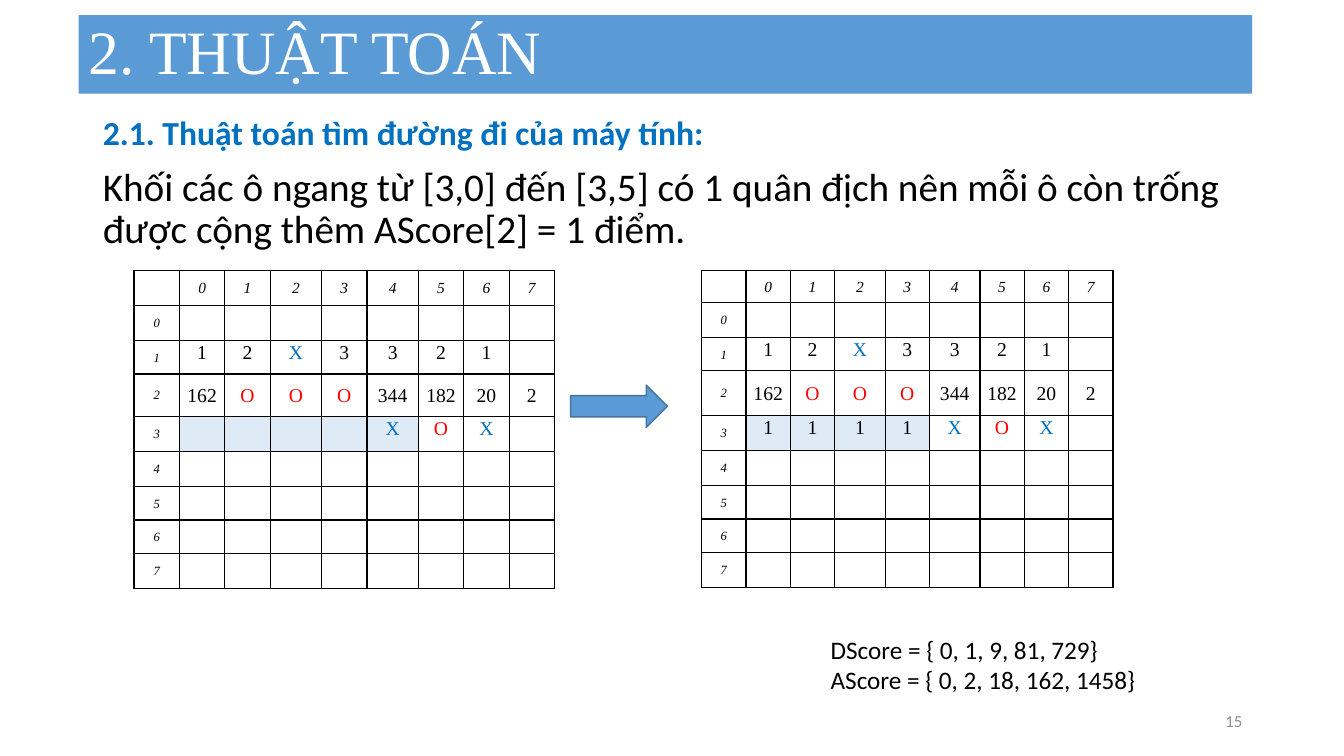
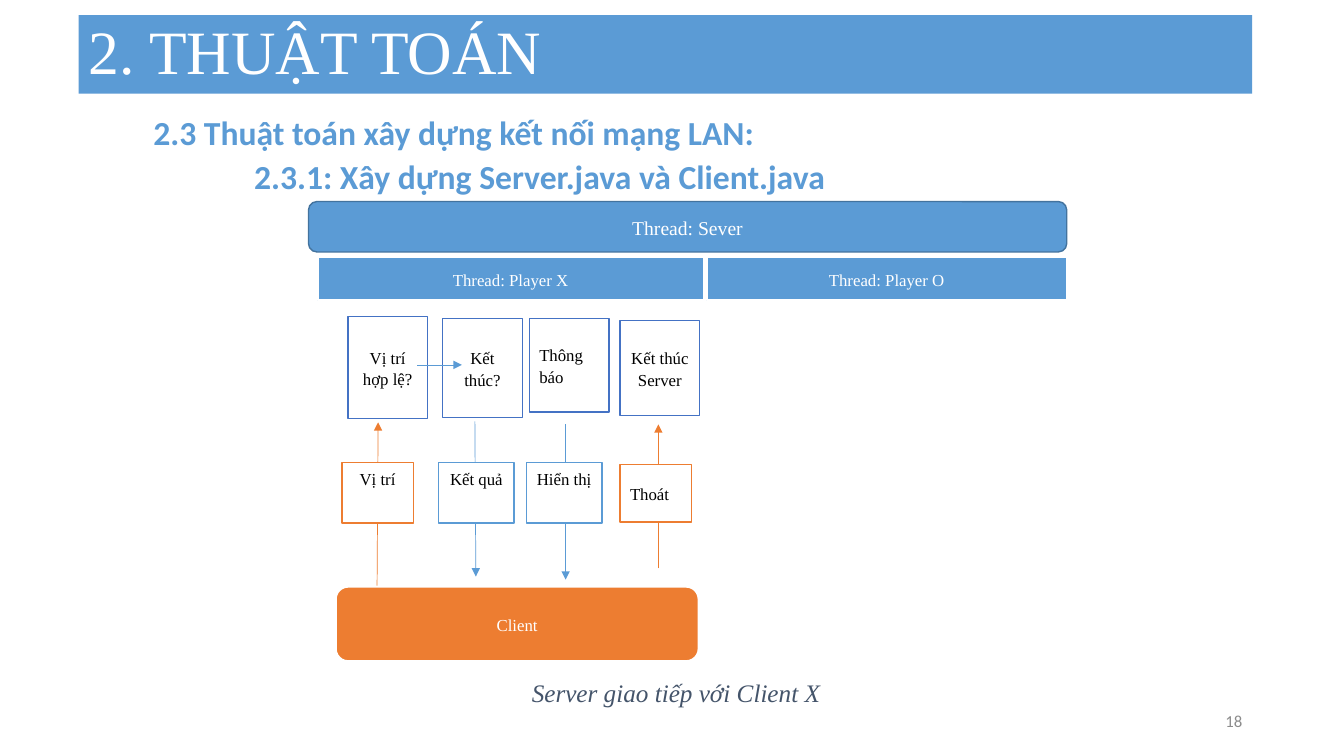
from dataclasses import dataclass, replace
from typing import Optional

from lxml.etree import SubElement
from pptx import Presentation
from pptx.dml.color import RGBColor
from pptx.enum.shapes import MSO_CONNECTOR, MSO_SHAPE
from pptx.enum.text import MSO_ANCHOR, MSO_AUTO_SIZE, PP_ALIGN
from pptx.oxml.ns import qn
from pptx.slide import Slide
from pptx.util import Emu, Pt

EMU_PER_PX = 9144


@dataclass(frozen=True)
class Theme:
    blue: str = "5B9BD5"
    blue_edge: str = "43739E"
    indigo: str = "4472C4"
    orange: str = "ED7D31"
    strong_blue: str = "0070C0"
    red: str = "FF0000"
    tint: str = "DEEBF7"
    slate: str = "44546A"
    gray: str = "8C8C8C"
    black: str = "000000"
    white: str = "FFFFFF"
    sans: str = "Calibri"
    serif: str = "Times New Roman"
    title: int = 44
    lead: int = 28
    heading: int = 24
    note: int = 18
    mark: int = 14
    label: int = 12
    column_index: int = 11
    row_index: int = 9


THEME = Theme()


@dataclass(frozen=True)
class Style:
    size: int
    color: str = THEME.black
    font: str = THEME.serif
    bold: bool = False
    italic: bool = False
    align: PP_ALIGN = PP_ALIGN.LEFT
    line_spacing: float = 1.0
    before: int = 0
    after: int = 0
    indent: int = 0


@dataclass(frozen=True)
class Area:
    left: int
    top: int
    width: int
    height: int

    def emu(self) -> tuple[Emu, Emu, Emu, Emu]:
        return px(self.left), px(self.top), px(self.width), px(self.height)


@dataclass(frozen=True)
class Node:
    text: str
    area: Area
    edge: str
    edge_width: float = 1
    fill: str = THEME.white
    color: str = THEME.black
    size: int = THEME.label
    align: PP_ALIGN = PP_ALIGN.CENTER
    anchor: MSO_ANCHOR = MSO_ANCHOR.MIDDLE
    preset: MSO_SHAPE = MSO_SHAPE.RECTANGLE


@dataclass(frozen=True)
class Arrow:
    start: tuple[int, int]
    end: tuple[int, int]
    color: str


@dataclass(frozen=True)
class Board:
    left: int
    top: int
    column: int
    wide_column: int
    rows: tuple[int, ...]
    attack_row: str
    tinted: range


TITLE = Style(THEME.title, THEME.white, line_spacing=0.9)
HEADING = Style(THEME.heading, THEME.strong_blue, THEME.sans, bold=True, line_spacing=0.9)
LEAD = Style(THEME.lead, font=THEME.sans, line_spacing=0.9, before=10)
LAN_HEADING = replace(HEADING, color=THEME.blue, indent=50)
LAN_SUBHEADING = replace(LAN_HEADING, before=5, indent=150)
SCORES = Style(THEME.note, font=THEME.sans)
PAGE = Style(THEME.label, THEME.gray, THEME.sans, align=PP_ALIGN.RIGHT)
CAPTION = Style(THEME.note, THEME.slate, italic=True, align=PP_ALIGN.CENTER)
CELL = Style(THEME.mark, align=PP_ALIGN.CENTER, line_spacing=1.07, after=8)
MARK_COLORS = {"X": THEME.strong_blue, "O": THEME.red}

BOARDS = (
    Board(133, 268, 45, 51, (35, 35, 33, 42, 35, 35, 33, 33, 35), "3,,,,,X,O,X,", range(1, 6)),
    Board(696, 268, 44, 50, (32, 35, 33, 44, 35, 35, 33, 33, 35), "3,1,1,1,1,X,O,X,", range(1, 5)),
)
WIDE_COLUMNS = (3, 5)
TOP_ANCHORED_ROWS = (2, 4)

ARROWS = (
    Arrow((374, 582), (375, 419), THEME.orange),
    Arrow((471, 418), (472, 572), THEME.blue),
    Arrow((561, 421), (561, 575), THEME.blue),
    Arrow((653, 564), (653, 421), THEME.orange),
)
CHECK_ARROW = Arrow((414, 362), (458, 362), THEME.blue)

NODES = (
    Node("Thread: Sever", Area(306, 200, 752, 50), THEME.blue_edge, fill=THEME.blue,
         color=THEME.white, size=THEME.mark, preset=MSO_SHAPE.ROUNDED_RECTANGLE),
    Node("Thread: Player X", Area(315, 255, 383, 43), THEME.white, 1.5, THEME.blue, THEME.white),
    Node("Thread: Player O", Area(701, 255, 357, 43), THEME.white, 1.5, THEME.blue, THEME.white),
    Node("Vị trí hợp lệ?", Area(345, 314, 79, 101), THEME.indigo),
    Node("Kết thúc?", Area(439, 316, 79, 98), THEME.indigo),
    Node("Thông báo", Area(525, 316, 79, 93), THEME.indigo, align=PP_ALIGN.LEFT),
    Node("Kết thúc Server", Area(615, 318, 79, 94), THEME.indigo),
    Node("Vị trí", Area(339, 459, 71, 60), THEME.orange, anchor=MSO_ANCHOR.TOP),
    Node("Kết quả", Area(435, 459, 75, 60), THEME.blue, anchor=MSO_ANCHOR.TOP),
    Node("Hiển thị", Area(522, 459, 75, 60), THEME.blue, anchor=MSO_ANCHOR.TOP),
    Node("Thoát", Area(615, 461, 71, 57), THEME.orange, align=PP_ALIGN.LEFT),
    Node("Client", Area(333, 582, 360, 74), THEME.white, 1.5, THEME.orange, THEME.white,
         preset=MSO_SHAPE.ROUNDED_RECTANGLE),
)


def px(length: int) -> Emu:
    return Emu(length * EMU_PER_PX)


def rgb(color: str) -> RGBColor:
    return RGBColor.from_string(color)


def write(frame, lines: list[tuple[str, Style]], anchor: MSO_ANCHOR = MSO_ANCHOR.TOP) -> None:
    frame.vertical_anchor = anchor
    for index, (text, style) in enumerate(lines):
        paragraph = frame.add_paragraph() if index else frame.paragraphs[0]
        paragraph.text = text
        properties = paragraph._p.get_or_add_pPr()
        properties.set("marL", str(px(style.indent)))
        properties.set("indent", "0")
        paragraph.alignment = style.align
        paragraph.line_spacing = style.line_spacing
        paragraph.space_before = Pt(style.before)
        paragraph.space_after = Pt(style.after)
        SubElement(properties, qn("a:buNone"))
        font = paragraph.font
        font.name, font.size = style.font, Pt(style.size)
        font.bold, font.italic = style.bold, style.italic
        font.color.rgb = rgb(style.color)


def place(shape, area: Area) -> None:
    shape.left, shape.top, shape.width, shape.height = area.emu()


def add_text(slide: Slide, area: Area, lines: list[tuple[str, Style]],
             anchor: MSO_ANCHOR = MSO_ANCHOR.TOP, wrap: bool = True) -> None:
    frame = slide.shapes.add_textbox(*area.emu()).text_frame
    frame.word_wrap = wrap
    write(frame, lines, anchor)


def add_slide(deck, page: str, body_height: int, lines: list[tuple[str, Style]]) -> Slide:
    slide = deck.slides.add_slide(deck.slide_layouts[1])
    title, body = slide.shapes.title, slide.placeholders[1]
    place(title, Area(78, 15, 1164, 78))
    title.fill.solid()
    title.fill.fore_color.rgb = rgb(THEME.blue)
    write(title.text_frame, [("2. THUẬT TOÁN", TITLE)], MSO_ANCHOR.MIDDLE)
    place(body, Area(92, 111, 1150, body_height))
    write(body.text_frame, lines)
    for placeholder in (title, body):
        placeholder.text_frame.auto_size = MSO_AUTO_SIZE.NONE
    add_text(slide, Area(942, 695, 300, 40), [(page, PAGE)], MSO_ANCHOR.MIDDLE)
    return slide


def add_node(slide: Slide, node: Node) -> None:
    shape = slide.shapes.add_shape(node.preset, *node.area.emu())
    shape.shadow.inherit = False
    shape.fill.solid()
    shape.fill.fore_color.rgb = rgb(node.fill)
    shape.line.color.rgb = rgb(node.edge)
    shape.line.width = Pt(node.edge_width)
    if node.text:
        style = replace(CELL, size=node.size, color=node.color, align=node.align)
        write(shape.text_frame, [(node.text, style)], node.anchor)


def add_arrow(slide: Slide, arrow: Arrow) -> None:
    ends = [px(value) for value in (*arrow.start, *arrow.end)]
    connector = slide.shapes.add_connector(MSO_CONNECTOR.STRAIGHT, *ends)
    connector.line.color.rgb = rgb(arrow.color)
    connector.line.width = Pt(0.5)
    SubElement(connector.line._get_or_add_ln(), qn("a:tailEnd"), type="triangle")
    SubElement(connector._element.spPr, qn("a:effectLst"))


def format_cell(cell, text: str, style: Style, anchor: MSO_ANCHOR, fill: Optional[str]) -> None:
    cell.margin_left = cell.margin_right = px(7)
    cell.margin_top = cell.margin_bottom = 0
    properties = cell._tc.get_or_add_tcPr()
    for side in ("lnL", "lnR", "lnT", "lnB"):
        border = SubElement(properties, qn(f"a:{side}"), w=str(Pt(1)))
        paint = SubElement(border, qn("a:solidFill"))
        SubElement(paint, qn("a:srgbClr"), val=THEME.black)
    if fill:
        cell.fill.solid()
        cell.fill.fore_color.rgb = rgb(fill)
    else:
        cell.fill.background()
    write(cell.text_frame, [(text, style)])
    cell.vertical_anchor = anchor


def add_board(slide: Slide, board: Board) -> None:
    filled = {0: ",0,1,2,3,4,5,6,7", 2: "1,1,2,X,3,3,2,1,",
              3: "2,162,O,O,O,344,182,20,2", 4: board.attack_row}
    widths = [board.wide_column if c in WIDE_COLUMNS else board.column for c in range(9)]
    area = Area(board.left, board.top, sum(widths), sum(board.rows))
    table = slide.shapes.add_table(9, 9, *area.emu()).table
    table.first_row = table.horz_banding = False
    for column, width in zip(table.columns, widths):
        column.width = px(width)
    for r, height in enumerate(board.rows):
        table.rows[r].height = px(height)
        texts = filled.get(r, f"{r - 1}" + "," * 8).split(",")
        for c, text in enumerate(texts):
            style = replace(CELL, color=MARK_COLORS.get(text, THEME.black))
            if r == 0 or c == 0:
                size = THEME.row_index if c == 0 else THEME.column_index
                style = replace(style, size=size, italic=True)
            top = r in TOP_ANCHORED_ROWS and c > 0
            fill = THEME.tint if r == 4 and c in board.tinted else None
            format_cell(table.cell(r, c), text, style,
                        MSO_ANCHOR.TOP if top else MSO_ANCHOR.MIDDLE, fill)


def build_scoring(deck) -> None:
    slide = add_slide(deck, "15", 584, [
        ("2.1. Thuật toán tìm đường đi của máy tính:", replace(HEADING, align=PP_ALIGN.JUSTIFY)),
        ("Khối các ô ngang từ [3,0] đến [3,5] có 1 quân địch nên mỗi ô còn trống "
         "được cộng thêm AScore[2] = 1 điểm.", LEAD),
    ])
    add_text(slide, Area(814, 624, 367, 71), [
        ("DScore = { 0, 1, 9, 81, 729}", SCORES),
        ("AScore = { 0, 2, 18, 162, 1458}", SCORES),
    ])
    add_node(slide, Node("", Area(566, 382, 96, 42), THEME.blue_edge, fill=THEME.blue,
                         preset=MSO_SHAPE.RIGHT_ARROW))
    for board in BOARDS:
        add_board(slide, board)


def build_network(deck) -> None:
    slide = add_slide(deck, "18", 564, [
        ("2.3 Thuật toán xây dựng kết nối mạng LAN:", LAN_HEADING),
        ("2.3.1: Xây dựng Server.java và Client.java", LAN_SUBHEADING),
    ])
    add_text(slide, Area(516, 667, 309, 40), [("Server giao tiếp với Client X", CAPTION)], wrap=False)
    for arrow in ARROWS:
        add_arrow(slide, arrow)
    for node in NODES:
        add_node(slide, node)
    add_arrow(slide, CHECK_ARROW)


def main() -> None:
    deck = Presentation()
    deck.slide_width, deck.slide_height = px(1333), px(750)
    build_scoring(deck)
    build_network(deck)
    deck.save("out.pptx")


if __name__ == "__main__":
    main()
